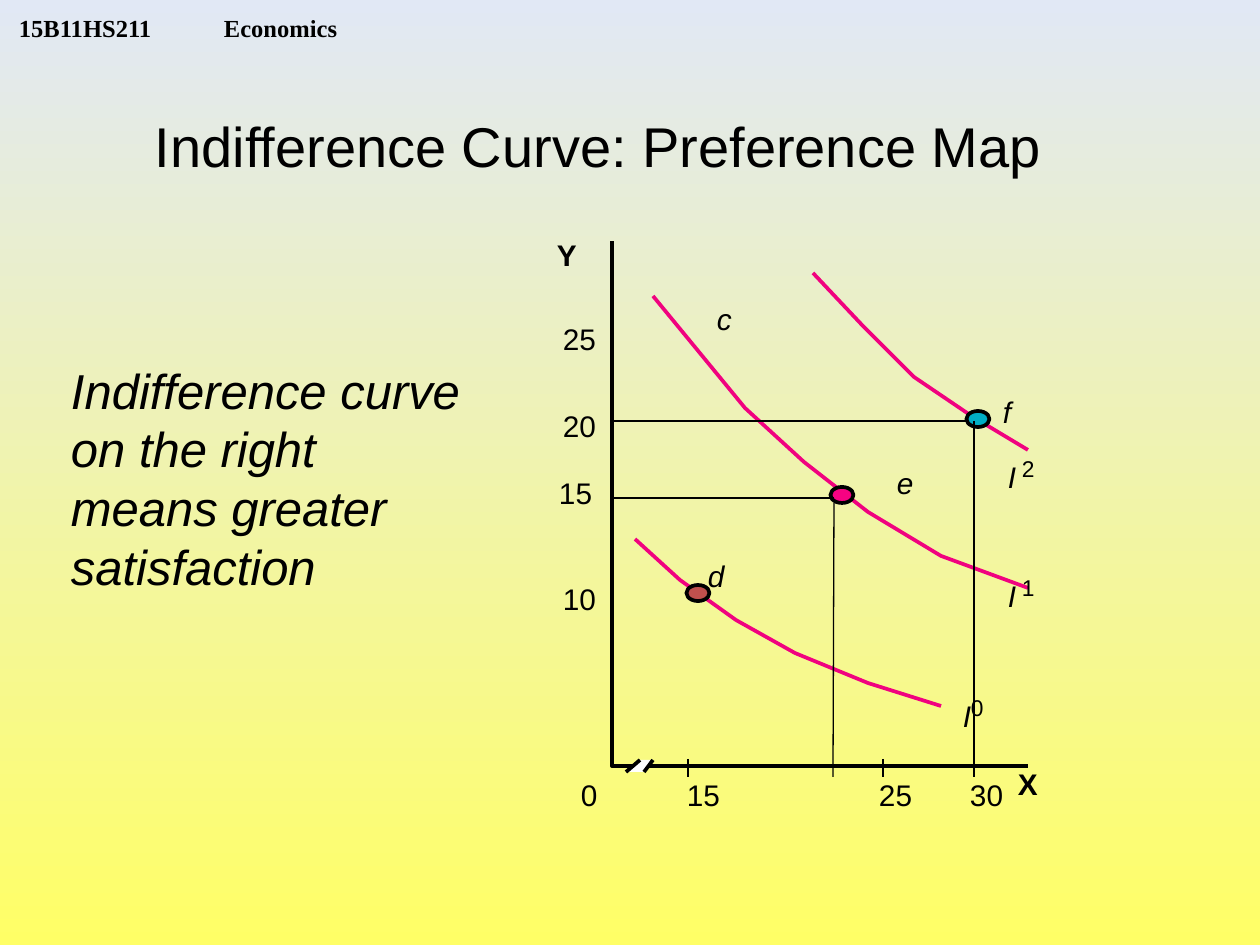
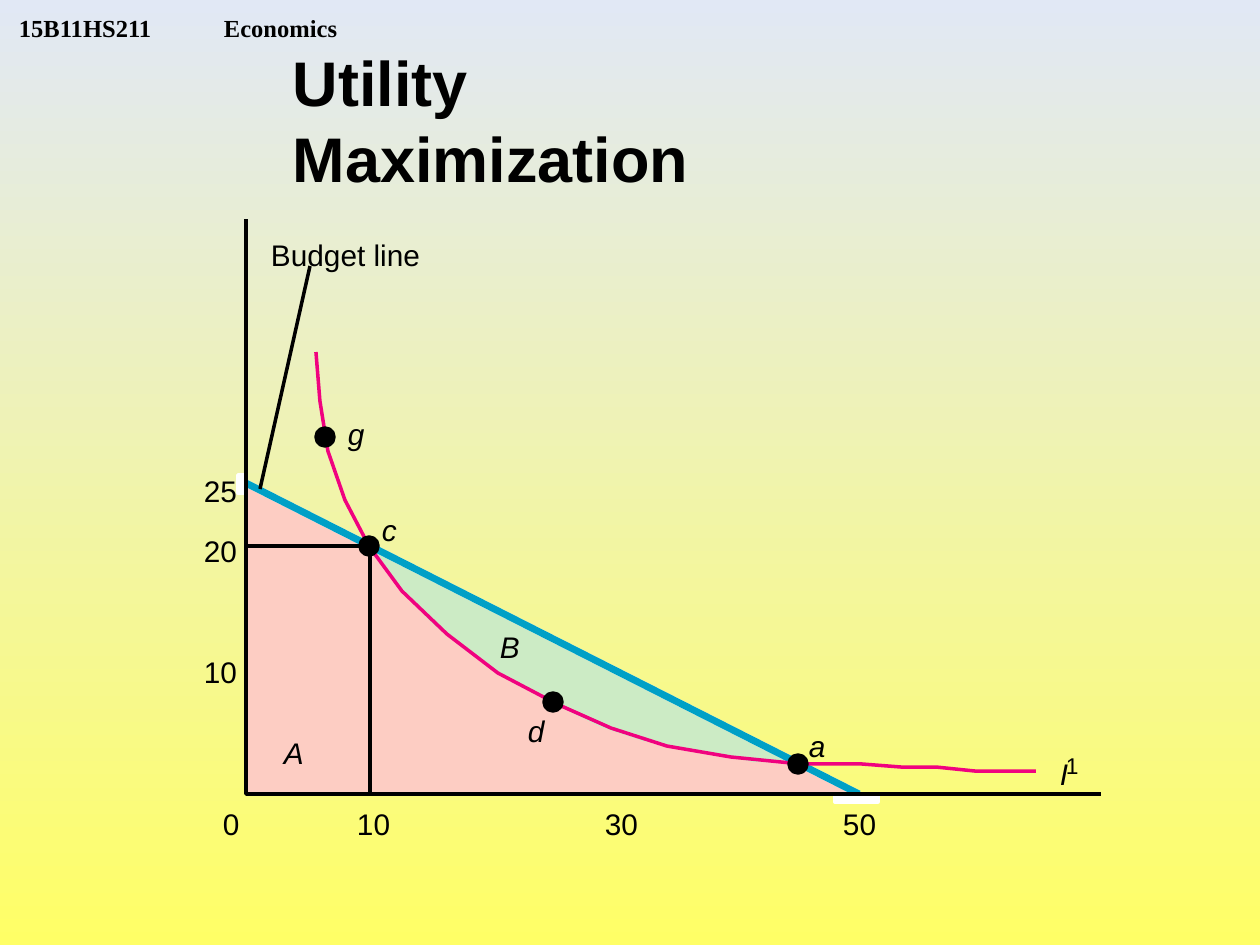
from pptx import Presentation
from pptx.dml.color import RGBColor
from pptx.enum.shapes import MSO_CONNECTOR, MSO_SHAPE
from pptx.enum.text import MSO_ANCHOR
from pptx.oxml.ns import qn
from pptx.util import Pt
from lxml.etree import SubElement

PX = 914400 / 126
SLIDE_W, SLIDE_H = 1260, 945
COLORS = {
    "sky": "E1E8F5", "yellow": "FFFF66", "ink": "000000", "white": "FFFFFF",
    "curve": "F0027F", "budget": "00A0C6", "area_a": "FDCDC3", "area_b": "CCEBC5",
    "dot_d": "C0504D", "dot_e": "F60282", "dot_f": "01AEC5",
}
LABEL_SIZE, SUPER_SIZE = 17, 13
# Letter widths in ems, for label boxes that hug their text
EMS = {"I": 0.28, "f": 0.28, "t": 0.28, " ": 0.28, "i": 0.22, "l": 0.22, "c": 0.5,
       "A": 0.67, "B": 0.67, "X": 0.67, "Y": 0.67}


def emu(px):
    return round(px * PX)


def rgb(name):
    return RGBColor.from_string(COLORS[name])


def paint(sp, fill=None, line=None, width=2):
    sp.shadow.inherit = False
    if fill:
        sp.fill.solid()
        sp.fill.fore_color.rgb = rgb(fill)
    else:
        sp.fill.background()
    if line:
        sp.line.color.rgb = rgb(line)
        sp.line.width = Pt(width)
    else:
        sp.line.fill.background()


def add_text(s, box, text, size, font="Arial", bold=False, italic=False,
             inset=(0, 0), wrap=True, anchor=MSO_ANCHOR.TOP, tab=None):
    sp = s.shapes.add_textbox(*map(emu, box))
    tf = sp.text_frame
    tf.word_wrap = wrap
    tf.vertical_anchor = anchor
    tf.margin_left = tf.margin_right = emu(inset[0])
    tf.margin_top = tf.margin_bottom = emu(inset[1])
    p = tf.paragraphs[0]
    if tab:
        tabs = SubElement(p._p.get_or_add_pPr(), qn("a:tabLst"))
        SubElement(tabs, qn("a:tab"), pos=str(emu(tab)), algn="l")
    r = p.add_run()
    r.text = text
    r.font.name, r.font.size = font, Pt(size)
    r.font.bold, r.font.italic = bold, italic
    r.font.color.rgb = rgb("ink")


class Plot:
    """Plot area; points count right and up from its bottom left corner."""

    def __init__(self, s, box, width):
        self.s, self.width = s, width
        self.left, top, self.w, self.h = box
        self.base = top + self.h

    def at(self, x, y):
        return self.left + x, self.base - y

    def outline(self, points, fill=None, line=None, close=False):
        first, *rest = [self.at(*pt) for pt in points]
        fb = self.s.shapes.build_freeform(*first, scale=PX)
        fb.add_line_segments(rest, close=close)
        paint(fb.convert_to_shape(), fill, line, self.width)

    def axes(self):
        self.outline([(self.w, 0), (0, 0), (0, self.h)], line="ink")

    def area(self, points, fill):
        self.outline(points, fill=fill, close=True)

    def curve(self, points):
        self.outline(points, line="curve")

    def line(self, start, end, width=None, color="ink"):
        ends = map(emu, self.at(*start) + self.at(*end))
        c = self.s.shapes.add_connector(MSO_CONNECTOR.STRAIGHT, *ends)
        c.line.color.rgb = rgb(color)
        c.line.width = Pt(width or self.width)
        SubElement(c._element.spPr, qn("a:effectLst"))

    def shape(self, kind, x, y, w, h, fill, line):
        left, top = self.at(x, y)
        sp = self.s.shapes.add_shape(kind, *map(emu, (left, top, w, h)))
        paint(sp, fill, line, self.width)

    def dot(self, x, y, w, h, fill="ink"):
        self.shape(MSO_SHAPE.OVAL, x - w / 2, y + h / 2, w, h, fill, "ink")

    def label(self, text, x, y, size=LABEL_SIZE, **style):
        w = sum(EMS.get(ch, 0.56) for ch in text) * size * 1.75
        add_text(self.s, (*self.at(x, y), w, size * 2.06), text, size, wrap=False, **style)

    def curve_label(self, power, x, y, gap):
        self.label("I", x, y, italic=True)
        self.label(power, x + gap, y + 4, SUPER_SIZE)


def add_slide(prs, title, title_box, size, bold=False, wrap=True):
    """Blank slide with the course header and a title."""
    s = prs.slides.add_slide(prs.slide_layouts[6])
    add_text(s, (6, 0, 403, 42), "15B11HS211\tEconomics", 14, "Times New Roman", bold=True,
             inset=(13, 0), anchor=MSO_ANCHOR.BOTTOM, tab=205)
    add_text(s, title_box, title, size, bold=bold, inset=(13, 6), wrap=wrap)
    return s


def preference_map(s, box):
    plot = Plot(s, box, 2.13)
    plot.curve([(41, 470), (87, 414), (133, 358), (192, 304), (256, 254), (329, 210), (416, 178)])
    plot.curve([(201, 493), (251, 440), (302, 389), (361, 349), (416, 316)])
    plot.curve([(23, 227), (68, 186), (124, 146), (183, 113), (256, 83), (329, 60)])
    plot.axes()
    plot.dot(86, 173, 23, 16, "dot_d")
    plot.dot(366, 347, 23, 16, "dot_f")

    plot.area([(32, -6), (41, 6), (28, 6), (14, -6)], "white")
    plot.line((28, 6), (14, -6))
    plot.line((32, -6), (41, 6))

    for text, x in (("0", -31), ("15", 75), ("25", 267), ("30", 358)):
        plot.label(text, x, -11)
    for text, x, y in (("25", -49, 445), ("20", -49, 358), ("15", -53, 291), ("10", -49, 185)):
        plot.label(text, x, y)
    for text, x, y in (("c", 105, 465), ("d", 96, 208), ("e", 285, 301), ("f", 391, 372)):
        plot.label(text, x, y, italic=True)
    for power, x, y, gap in (("0", 351, 68, 8), ("1", 396, 188, 14), ("2", 396, 307, 14)):
        plot.curve_label(power, x, y, gap)
    plot.label("Y", -55, 529, bold=True)
    plot.label("X", 406, 0, bold=True)

    for x in (76, 271, 362):
        plot.line((x, 7), (x, -11), 0.75)
    plot.dot(230, 271, 23, 16, "dot_e")
    for start, end in (((222, 263), (221, -11)), ((0, 268), (222, 268)),
                       ((0, 345), (354, 345)), ((362, 345), (362, 0))):
        plot.line(start, end, 0.75)


def utility_chart(s, box):
    plot = Plot(s, box, 2)
    plot.area([(0, 309), (0, 0), (607, 0)], "area_a")
    plot.area([(553, 29), (408, 104), (266, 174), (124, 248), (124, 245), (131, 235),
               (145, 217), (162, 196), (187, 170), (220, 143), (262, 114), (312, 88),
               (355, 67), (397, 53), (436, 47), (475, 39), (507, 32), (531, 32), (547, 29)],
              "area_b")
    for color in ("white", "budget"):
        plot.line((-8, 315), (613, 0), 4, color)
    plot.line((0, 248), (117, 248))
    plot.line((124, 1), (124, 245))
    plot.curve([(70, 442), (74, 393), (82, 343), (99, 294), (123, 248), (156, 203), (201, 160),
                (252, 121), (311, 90), (365, 66), (421, 48), (485, 37), (555, 30), (616, 30),
                (655, 27), (690, 27), (729, 23), (790, 23)])
    for x, y, w, h in ((-8, 319, 8, 18), (589, 0, 43, 8)):
        plot.shape(MSO_SHAPE.RECTANGLE, x, y, w, h, "white", "white")
    plot.axes()
    for x, y in ((79, 357), (123, 248), (307, 92), (552, 30)):
        plot.dot(x, y, 18, 18)
    plot.line((64, 528), (14, 305))

    plot.label("Budget line", 25, 557)
    for text, y in (("25", 321), ("20", 261), ("10", 140)):
        plot.label(text, -42, y)
    for text, x in (("0", -23), ("10", 111), ("30", 359), ("50", 597)):
        plot.label(text, x, -12)
    for text, x, y in (("A", 38, 59), ("B", 254, 165), ("a", 563, 66),
                       ("c", 136, 282), ("d", 282, 81), ("g", 102, 378)):
        plot.label(text, x, y, italic=True)
    plot.curve_label("1", 814, 38, 6)


def main():
    prs = Presentation()
    prs.slide_width, prs.slide_height = emu(SLIDE_W), emu(SLIDE_H)
    fill = prs.slide_master.background.fill
    fill.gradient()
    fill.gradient_angle = 90
    for stop, color, position in zip(fill.gradient_stops, ("yellow", "sky"), (0, 1)):
        stop.color.rgb = rgb(color)
        stop.position = position

    s = add_slide(prs, "Indifference Curve: Preference Map", (142, 105, 971, 81), 32)
    preference_map(s, (612, 241, 416, 525))
    add_text(s, (58, 354, 425, 248), "Indifference curve on the right means greater satisfaction",
             28, italic=True, inset=(13, 6))

    s = add_slide(prs, "Utility Maximization", (280, 38, 612, 88), 36, bold=True, wrap=False)
    utility_chart(s, (246, 219, 855, 575))
    prs.save("out.pptx")


if __name__ == "__main__":
    main()
